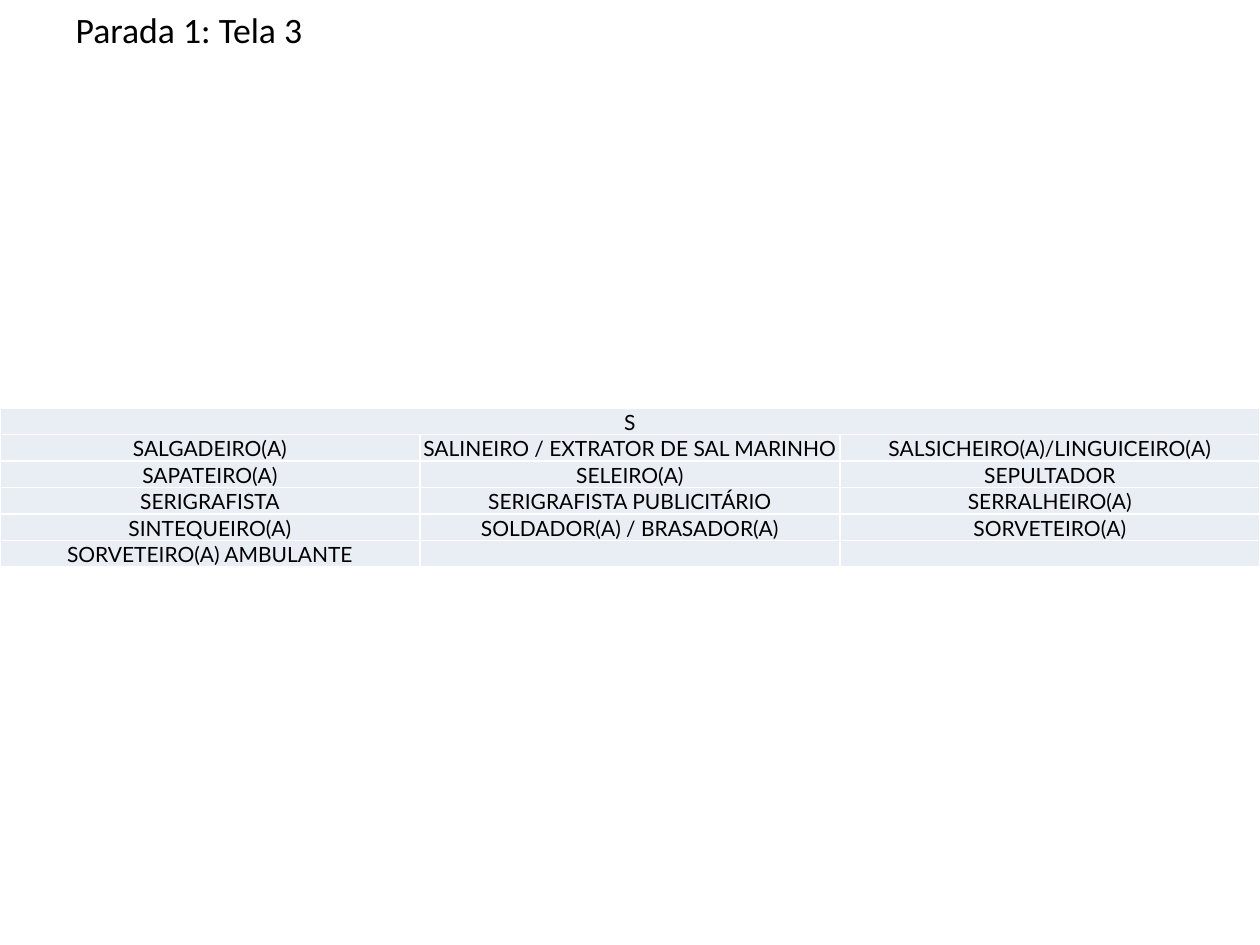
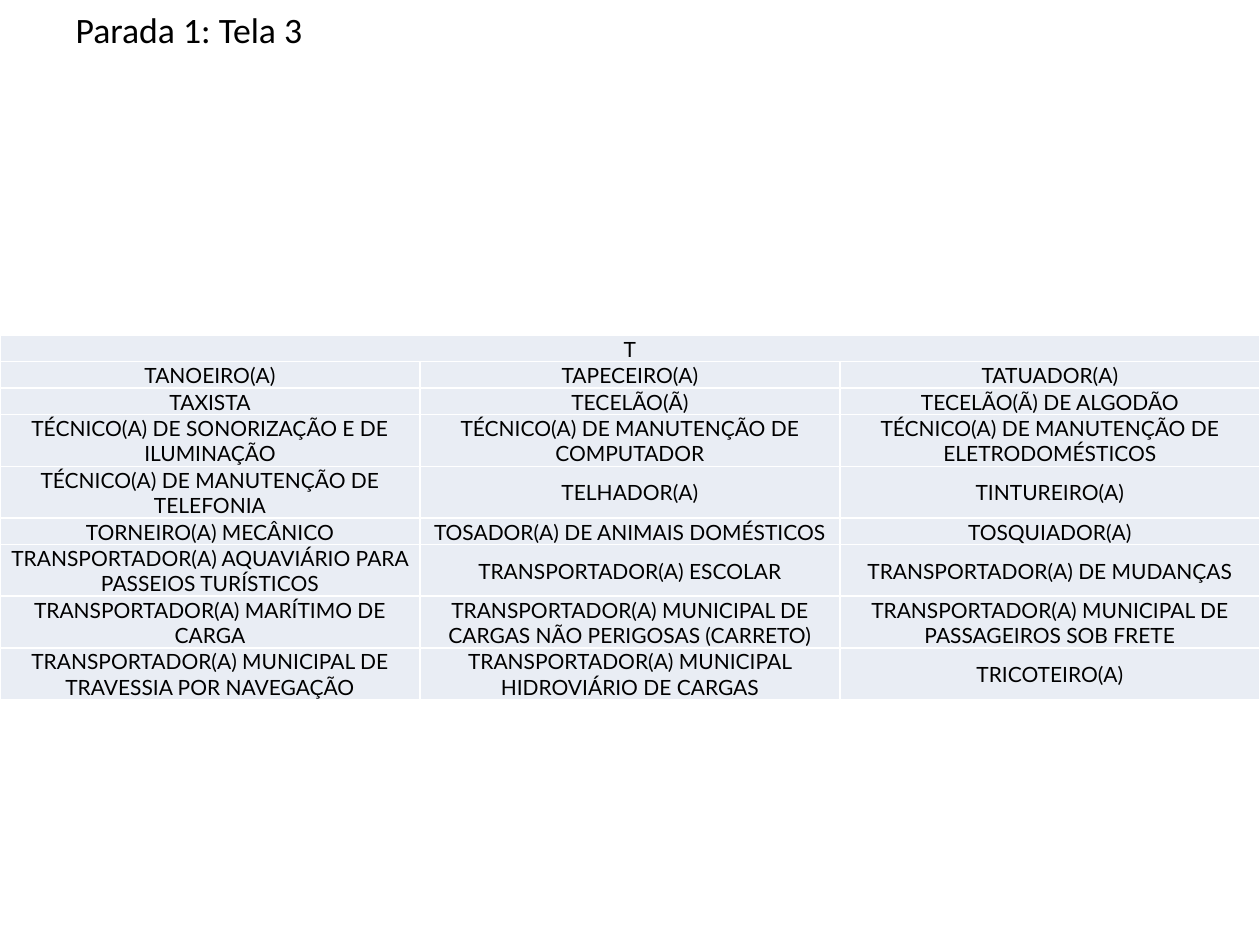
from lxml.etree import SubElement
from pptx import Presentation
from pptx.dml.color import RGBColor
from pptx.enum.text import MSO_ANCHOR, MSO_AUTO_SIZE, PP_ALIGN
from pptx.oxml.ns import qn
from pptx.util import Inches, Pt

COLORS = {"text": "000000", "cell": "E9EDF4", "border": "FFFFFF", "background": "FFFFFF"}
TITLE = "Parada 1: Tela 3"
TITLE_FONT, TABLE_FONT = "Calibri", "Lato"
TABLE_SIZE = 12
WIDTH, HEIGHT = Inches(10), Inches(7.5)
MARGIN = 0.05  # share of the slide's width
COLUMNS = 3
LINE = 0.17  # height of one table text line, in inches
TITLE_ONLY = 5

# Each section: letter, table top in inches, text lines per row, occupations
SECTIONS = [
    ("S", 3.24, [1] * 6, [
        "SALGADEIRO(A)", "SALINEIRO / EXTRATOR DE SAL MARINHO", "SALSICHEIRO(A)/LINGUICEIRO(A)",
        "SAPATEIRO(A)", "SELEIRO(A)", "SEPULTADOR",
        "SERIGRAFISTA", "SERIGRAFISTA PUBLICITÁRIO", "SERRALHEIRO(A)",
        "SINTEQUEIRO(A)", "SOLDADOR(A) / BRASADOR(A)", "SORVETEIRO(A)",
        "SORVETEIRO(A) AMBULANTE",
    ]),
    ("T", 2.66, [1, 1, 1, 2, 1, 1, 2, 2, 2], [
        "TANOEIRO(A)", "TAPECEIRO(A)", "TATUADOR(A)",
        "TAXISTA", "TECELÃO(Ã)", "TECELÃO(Ã) DE ALGODÃO",
        "TÉCNICO(A) DE SONORIZAÇÃO E DE ILUMINAÇÃO",
        "TÉCNICO(A) DE MANUTENÇÃO DE COMPUTADOR",
        "TÉCNICO(A) DE MANUTENÇÃO DE ELETRODOMÉSTICOS",
        "TÉCNICO(A) DE MANUTENÇÃO DE TELEFONIA", "TELHADOR(A)", "TINTUREIRO(A)",
        "TORNEIRO(A) MECÂNICO", "TOSADOR(A) DE ANIMAIS DOMÉSTICOS", "TOSQUIADOR(A)",
        "TRANSPORTADOR(A) AQUAVIÁRIO PARA PASSEIOS TURÍSTICOS",
        "TRANSPORTADOR(A) ESCOLAR", "TRANSPORTADOR(A) DE MUDANÇAS",
        "TRANSPORTADOR(A) MARÍTIMO DE CARGA",
        "TRANSPORTADOR(A) MUNICIPAL DE CARGAS NÃO PERIGOSAS (CARRETO)",
        "TRANSPORTADOR(A) MUNICIPAL DE PASSAGEIROS SOB FRETE",
        "TRANSPORTADOR(A) MUNICIPAL DE TRAVESSIA POR NAVEGAÇÃO",
        "TRANSPORTADOR(A) MUNICIPAL HIDROVIÁRIO DE CARGAS", "TRICOTEIRO(A)",
    ]),
]


def add_run(paragraph, text, font, size):
    """Add one run in the shared text colour."""
    run = paragraph.add_run()
    run.text = text
    run.font.name = font
    run.font.size = Pt(size)
    run.font.color.rgb = RGBColor.from_string(COLORS["text"])


def set_title(slide):
    """Place and fill the title at the top of the slide."""
    title = slide.shapes.title
    title.left, title.top = int(WIDTH * MARGIN), Inches(0.01)
    title.width, title.height = int(WIDTH * (1 - 2 * MARGIN)), Inches(0.38)
    frame = title.text_frame
    frame.word_wrap = True
    frame.auto_size = MSO_AUTO_SIZE.NONE
    frame.vertical_anchor = MSO_ANCHOR.TOP
    heading = frame.paragraphs[0]
    heading.alignment = PP_ALIGN.LEFT
    heading.space_before = Pt(2)
    add_run(heading, TITLE, TITLE_FONT, 20.4)


def add_borders(cell):
    """Draw thin lines on the four sides, ahead of the fill in the XML."""
    properties = cell._tc.get_or_add_tcPr()
    for position, side in enumerate(("lnL", "lnR", "lnT", "lnB")):
        line = SubElement(properties, qn(f"a:{side}"), w=str(Pt(1)))
        fill = SubElement(line, qn("a:solidFill"))
        SubElement(fill, qn("a:srgbClr"), val=COLORS["border"])
        properties.insert(position, line)


def format_cell(cell, text):
    """Fill, frame and centre a cell; an empty one keeps the row's text size."""
    cell.margin_left = cell.margin_right = cell.margin_top = Inches(0.01)
    cell.margin_bottom = 0
    cell.vertical_anchor = MSO_ANCHOR.MIDDLE
    cell.fill.solid()
    cell.fill.fore_color.rgb = RGBColor.from_string(COLORS["cell"])
    add_borders(cell)
    entry = cell.text_frame.paragraphs[0]
    entry.alignment = PP_ALIGN.CENTER
    if text:
        add_run(entry, text, TABLE_FONT, TABLE_SIZE)
    else:
        ending = SubElement(entry._p, qn("a:endParaRPr"), sz=str(TABLE_SIZE * 100))
        SubElement(ending, qn("a:latin"), typeface=TABLE_FONT)


def add_occupations(slide, letter, top, row_lines, occupations):
    """Add a full-width table with its letter above the occupations."""
    table = slide.shapes.add_table(
        len(row_lines), COLUMNS, 0, Inches(top), WIDTH, Inches(LINE * sum(row_lines))
    ).table
    table.first_row = table.horz_banding = False
    for column in table.columns:
        column.width = WIDTH // COLUMNS
    for row, lines in zip(table.rows, row_lines):
        row.height = Inches(LINE * lines)
    entries = [letter] + [""] * (COLUMNS - 1) + occupations
    entries += [""] * (len(row_lines) * COLUMNS - len(entries))
    for index, text in enumerate(entries):
        format_cell(table.cell(*divmod(index, COLUMNS)), text)
    table.cell(0, 0).merge(table.cell(0, COLUMNS - 1))


def main():
    """Build one slide per letter and save the presentation."""
    deck = Presentation()
    deck.slide_width, deck.slide_height = WIDTH, HEIGHT
    for section in SECTIONS:
        slide = deck.slides.add_slide(deck.slide_layouts[TITLE_ONLY])
        slide.background.fill.solid()
        slide.background.fill.fore_color.rgb = RGBColor.from_string(COLORS["background"])
        set_title(slide)
        add_occupations(slide, *section)
    deck.save("out.pptx")


main()
